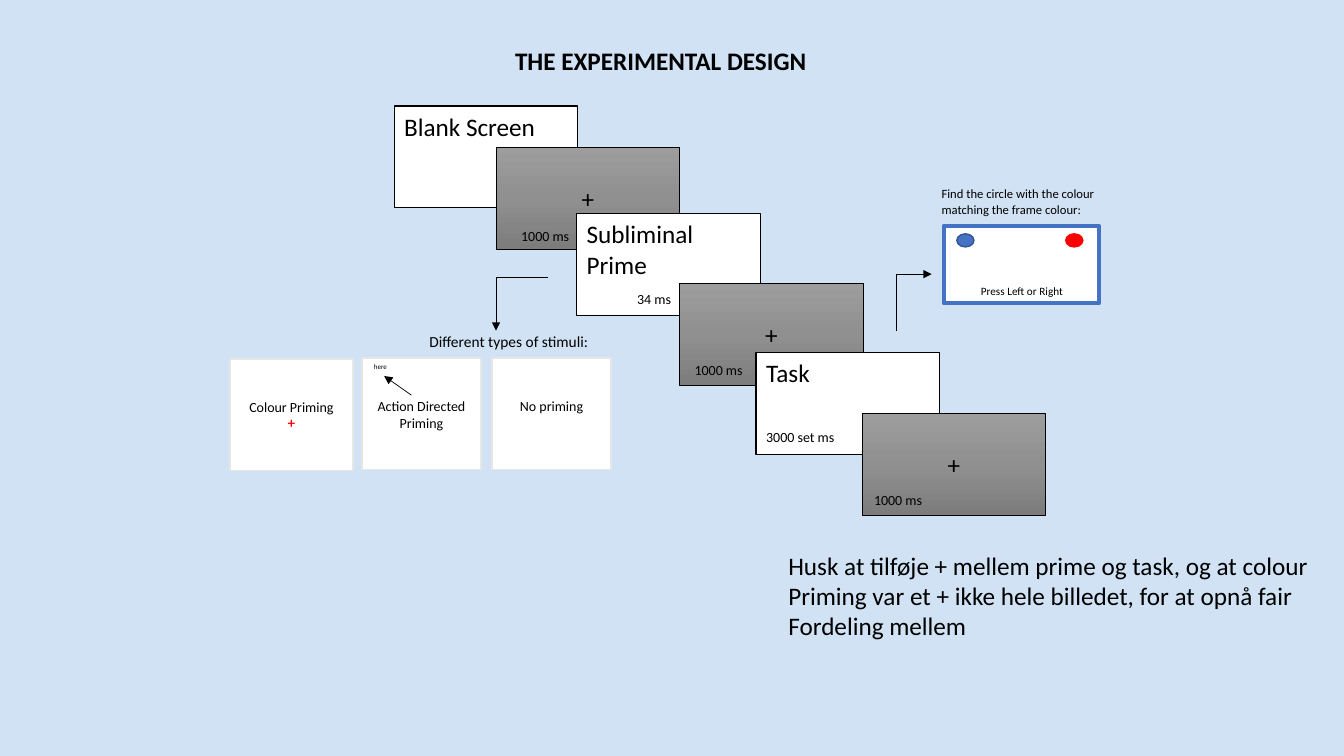
from copy import deepcopy

from lxml.etree import SubElement
from pptx import Presentation
from pptx.dml.color import RGBColor
from pptx.enum.shapes import MSO_CONNECTOR, MSO_SHAPE
from pptx.enum.text import MSO_ANCHOR, PP_ALIGN
from pptx.oxml.ns import qn
from pptx.util import Inches, Pt

COLORS = {
    "background": "D0E2F3", "ink": "000000", "paper": "FFFFFF",
    "card_edge": "E7E6E6", "blue": "4472C4", "dark_blue": "325491",
    "red": "FF0000", "gray_top": "9D9D9D", "gray_middle": "909090",
    "gray_bottom": "7C7C7C",
}
SCREEN_SIZE = (1.82, 1.01)
LABEL_HEIGHT = 0.27


def color(name):
    """Return the named colour."""
    return RGBColor.from_string(COLORS[name])


def write(shape, lines, size, align=PP_ALIGN.LEFT, anchor=MSO_ANCHOR.TOP, wrap=True, top=0.05, bold=False):
    """Write lines as paragraphs in a shape and return the paragraphs."""
    frame = shape.text_frame
    frame.text = "\n".join(lines)
    frame_format = {"word_wrap": wrap, "vertical_anchor": anchor, "margin_top": Inches(top)}
    for name, value in frame_format.items():
        setattr(frame, name, value)
    font_format = {"name": "Calibri", "size": Pt(size), "bold": bold}
    for paragraph in frame.paragraphs:
        paragraph.alignment = align
        for name, value in font_format.items():
            setattr(paragraph.font, name, value)
        paragraph.font.color.rgb = color("ink")
    return frame.paragraphs


def add_text(slide, box, lines, size, **options):
    """Add a text box."""
    shape = slide.shapes.add_textbox(*map(Inches, box))
    write(shape, lines, size, **options)


def add_panel(slide, box, fill, line, width, kind=MSO_SHAPE.RECTANGLE):
    """Add a filled and outlined shape."""
    shape = slide.shapes.add_shape(kind, *map(Inches, box))
    shape.shadow.inherit = False
    shape.fill.solid()
    shape.fill.fore_color.rgb = color(fill)
    shape.line.color.rgb = color(line)
    shape.line.width = Pt(width)
    return shape


def add_line(slide, start, end, arrow=False):
    """Add a thin straight line, with an optional arrowhead at its end."""
    connector = slide.shapes.add_connector(
        MSO_CONNECTOR.STRAIGHT, *map(Inches, (*start, *end)))
    connector.line.color.rgb = color("ink")
    connector.line.width = Pt(0.5)
    if arrow:
        SubElement(connector.line._get_or_add_ln(), qn("a:tailEnd"), type="triangle")
    SubElement(connector._element.spPr, qn("a:effectLst"))


def shade(shape):
    """Fill a shape with the vertical three-step gray gradient."""
    shape.fill.gradient()
    shape.fill.gradient_angle = 270
    stop_list = shape._element.spPr.find(".//" + qn("a:gsLst"))
    stop_list.insert(1, deepcopy(stop_list[0]))
    names = ("gray_top", "gray_middle", "gray_bottom")
    for stop, name, position in zip(shape.fill.gradient_stops, names, (0, 0.5, 1)):
        stop.color.rgb = color(name)
        stop.position = position


def add_white_screen(slide, box, title):
    """Add a white screen with its title."""
    screen = add_panel(slide, box, "paper", "ink", 1)
    write(screen, [title], 18)


def add_fixation_screen(slide, box):
    """Add a gray screen with a fixation cross."""
    screen = add_panel(slide, box, "gray_top", "ink", 0.5)
    shade(screen)
    write(screen, ["+"], 18, align=PP_ALIGN.CENTER, anchor=MSO_ANCHOR.MIDDLE)


def add_timeline(slide, left, top):
    """Add the cascade of overlapping screens with their durations."""
    screens = [
        (0, 0, "Blank Screen", None),
        (1.01, 0.41, None, (0.15, 0.75, 0.75, "1000 ms")),
        (1.81, 1.07, "Subliminal Prime", (0.5, 0.71, 0.75, "34 ms")),
        (2.83, 1.76, None, (0.05, 0.73, 0.75, "1000 ms")),
        (3.59, 2.45, "Task", (0, 0.7, 0.99, "3000 set ms")),
        (4.64, 3.05, None, (0.02, 0.73, 0.75, "1000 ms")),
    ]
    for x, y, title, duration in screens:
        box = (left + x, top + y, *SCREEN_SIZE)
        if title:
            add_white_screen(slide, box, title)
        else:
            add_fixation_screen(slide, box)
        if duration:
            label_x, label_y, width, text = duration
            add_text(slide, (box[0] + label_x, box[1] + label_y, width, LABEL_HEIGHT), [text], 10)


def add_stimuli(slide, left, top):
    """Add the branch to the three stimulus cards."""
    corner = (left + 2.64, top)
    add_line(slide, (left + 3.16, top), corner)
    add_line(slide, corner, (corner[0], top + 0.53), arrow=True)
    add_text(slide, (left + 1.88, top + 0.5, 1.82, 0.47), ["Different types of stimuli:"], 11)
    cards = [
        (0, 0.81, 1.22, ["Colour Priming", "+"]),
        (1.31, 0.8, 1.18, ["Action Directed Priming"]),
        (2.6, 0.8, 1.18, ["No priming"]),
    ]
    for x, y, width, lines in cards:
        card = add_panel(slide, (left + x, top + y, width, 1.11), "paper", "card_edge", 1)
        paragraphs = write(card, lines, 10, align=PP_ALIGN.CENTER, top=0.39)
        if "+" in lines:
            cross = paragraphs[-1].font
            for name, value in {"name": "Lato", "bold": True}.items():
                setattr(cross, name, value)
            cross.color.rgb = color("red")
    add_line(slide, (left + 1.8, top + 1.17), (left + 1.53, top + 0.98), arrow=True)
    add_text(slide, (left + 1.33, top + 0.8, 0.35, 0.19), ["here"], 5)


def add_task(slide, left, top):
    """Add the branch to the framed task example."""
    corner = (left, top + 0.92)
    add_line(slide, (left, top + 1.48), corner)
    add_line(slide, corner, (left + 0.35, corner[1]), arrow=True)
    add_text(slide, (left + 0.35, top, 1.95, 0.4),
             ["Find the circle with the colour matching the frame colour:"], 9)
    add_panel(slide, (left + 0.47, top + 0.44, 1.54, 0.77), "paper", "blue", 3)
    for x, fill, line in ((0.6, "blue", "dark_blue"), (1.68, "red", "red")):
        add_panel(slide, (left + x, top + 0.52, 0.17, 0.13), fill, line, 1, MSO_SHAPE.OVAL)
    add_text(slide, (left + 0.74, top + 0.97, 1.17, 0.24), ["Press Left or Right"], 8)


def main():
    """Build the slide and save it."""
    presentation = Presentation()
    presentation.slide_width = Inches(13.33)
    presentation.slide_height = Inches(7.5)
    slide = presentation.slides.add_slide(presentation.slide_layouts[6])
    slide.background.fill.solid()
    slide.background.fill.fore_color.rgb = color("background")
    add_text(slide, (5.01, 0.4, 3.18, 0.4), ["THE EXPERIMENTAL DESIGN"], 18, bold=True)
    add_timeline(slide, 3.91, 1.05)
    add_stimuli(slide, 2.28, 2.75)
    add_task(slide, 8.89, 1.8)
    add_text(slide, (7.72, 5.41, 5.42, 1.31), [
        "Husk at tilføje + mellem prime og task, og at colour",
        "Priming var et + ikke hele billedet, for at opnå fair",
        "Fordeling mellem",
    ], 18, wrap=False)
    presentation.save("out.pptx")


if __name__ == "__main__":
    main()
